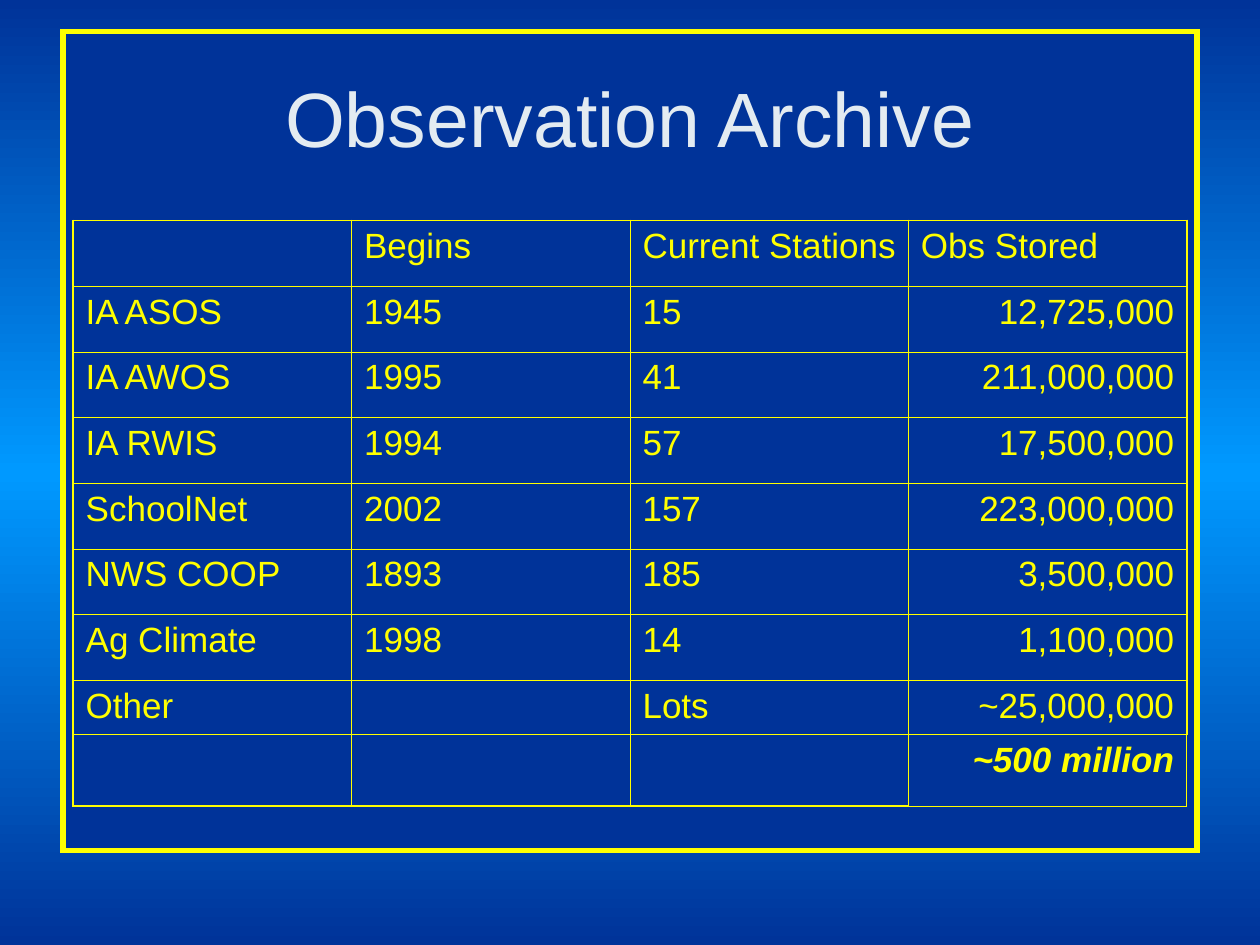
from copy import deepcopy
from typing import NamedTuple

from lxml import etree
from pptx import Presentation
from pptx.dml.color import RGBColor
from pptx.enum.shapes import MSO_SHAPE
from pptx.enum.text import MSO_ANCHOR, PP_ALIGN
from pptx.oxml.ns import qn
from pptx.util import Inches, Pt

RECT = MSO_SHAPE.RECTANGLE
MIDDLE = MSO_ANCHOR.MIDDLE
LEFT, CENTER, RIGHT = PP_ALIGN.LEFT, PP_ALIGN.CENTER, PP_ALIGN.RIGHT

NAVY = RGBColor(0x00, 0x33, 0x99)
SKY = RGBColor(0x00, 0x99, 0xFF)
YELLOW = RGBColor(0xFF, 0xFF, 0x00)
PALE = RGBColor(0xE3, 0xEB, 0xF1)
FONT = "Arial"
WIDE, HIGH = Inches(10), Inches(7.5)
THIN, THICK = Pt(0.45), Pt(1.08)


class Box(NamedTuple):
    """A place in inches: left, top, width, height."""
    left: float
    top: float
    width: float
    height: float

    def emu(self) -> list[int]:
        return [Inches(size) for size in self]


class Entry(NamedTuple):
    name: str
    begins: str
    count: str
    stored: str


FRAME = Box(0.5, 0.25, 9, 6.5)
TITLE = Box(0.5, 0.3, 9, 1.25)
GRID = Box(0.58, 1.75, 8.84, 4.65)
OTHER_ROW, TOTAL_ROW = 0.43, 0.57

HEAD = Entry("", "Begins", "Current Stations", "Obs Stored")
BODY = [
    Entry("IA ASOS", "1945", "15", "12,725,000"),
    Entry("IA AWOS", "1995", "41", "211,000,000"),
    Entry("IA RWIS", "1994", "57", "17,500,000"),
    Entry("SchoolNet", "2002", "157", "223,000,000"),
    Entry("NWS COOP", "1893", "185", "3,500,000"),
    Entry("Ag Climate", "1998", "14", "1,100,000"),
    Entry("Other", "", "Lots", "~25,000,000"),
]
TOTAL = Entry("", "", "", "~500 million")


def paint_back(slide) -> None:
    """Fill the background with a navy, sky, navy gradient from top to bottom."""
    fill = slide.background.fill
    fill.gradient()
    fill.gradient_angle = 270
    stops = slide.element.find(".//" + qn("a:gsLst"))
    stops.append(deepcopy(stops[-1]))
    for stop, place, color in zip(fill.gradient_stops, (0, 0.5, 1), (NAVY, SKY, NAVY)):
        stop.position = place
        stop.color.rgb = color


def add_frame(slide) -> None:
    """Draw the square-cornered panel behind everything else."""
    frame = slide.shapes.add_shape(RECT, *FRAME.emu())
    frame.shadow.inherit = False
    frame.fill.solid()
    frame.fill.fore_color.rgb = NAVY
    frame.line.color.rgb = YELLOW
    frame.line.width = Pt(3)
    line = frame._element.spPr.find(qn("a:ln"))
    etree.SubElement(line, qn("a:miter"), lim="800000")
    slide.shapes._spTree.insert(2, frame._element)


def add_text(para, text: str, size: int, color: RGBColor, align) -> object:
    para.alignment = align
    run = para.add_run()
    run.text = text
    run.font.name = FONT
    run.font.size = Pt(size)
    run.font.color.rgb = color
    return run


def set_title(slide, text: str) -> None:
    title = slide.shapes.title
    title.left, title.top, title.width, title.height = TITLE.emu()
    title.text_frame.vertical_anchor = MIDDLE
    add_text(title.text_frame.paragraphs[0], text, 44, PALE, CENTER)


def set_edges(cell, widths: dict[str, int]) -> None:
    props = cell._tc.get_or_add_tcPr()
    for spot, (side, width) in enumerate(widths.items()):
        line = etree.Element(qn(f"a:{side}"), w=str(width))
        fill = etree.SubElement(line, qn("a:solidFill"))
        etree.SubElement(fill, qn("a:srgbClr"), val=str(YELLOW))
        props.insert(spot, line)


def add_grid(slide, rows: list[Entry]) -> None:
    cols = len(HEAD)
    table = slide.shapes.add_table(len(rows), cols, *GRID.emu()).table
    table.first_row = table.horz_banding = False
    for col in table.columns:
        col.width = Inches(GRID.width / cols)
    even = len(rows) - 2
    height = (GRID.height - OTHER_ROW - TOTAL_ROW) / even
    for row, size in zip(table.rows, [height] * even + [OTHER_ROW, TOTAL_ROW]):
        row.height = Inches(size)

    end_row, end_col = len(rows) - 1, cols - 1
    for r, entry in enumerate(rows):
        for c, text in enumerate(entry):
            cell = table.cell(r, c)
            cell.fill.background()
            total = (r, c) == (end_row, end_col)
            rims = {"lnL": c == 0, "lnR": c == end_col,
                    "lnT": r == 0, "lnB": r == end_row}
            set_edges(cell, {side: THICK if rim and not total else THIN
                             for side, rim in rims.items()})
            if text:
                align = RIGHT if r and c == end_col else LEFT
                cell.margin_right = Inches(0.1 if align == RIGHT else 0.08)
                run = add_text(cell.text_frame.paragraphs[0], text, 20, YELLOW, align)
                if total:
                    run.font.bold = run.font.italic = True


def main() -> None:
    deck = Presentation()
    deck.slide_width, deck.slide_height = WIDE, HIGH
    slide = deck.slides.add_slide(deck.slide_layouts.get_by_name("Title Only"))
    paint_back(slide)
    add_frame(slide)
    set_title(slide, "Observation Archive")
    add_grid(slide, [HEAD, *BODY, TOTAL])
    deck.save("out.pptx")


if __name__ == "__main__":
    main()
